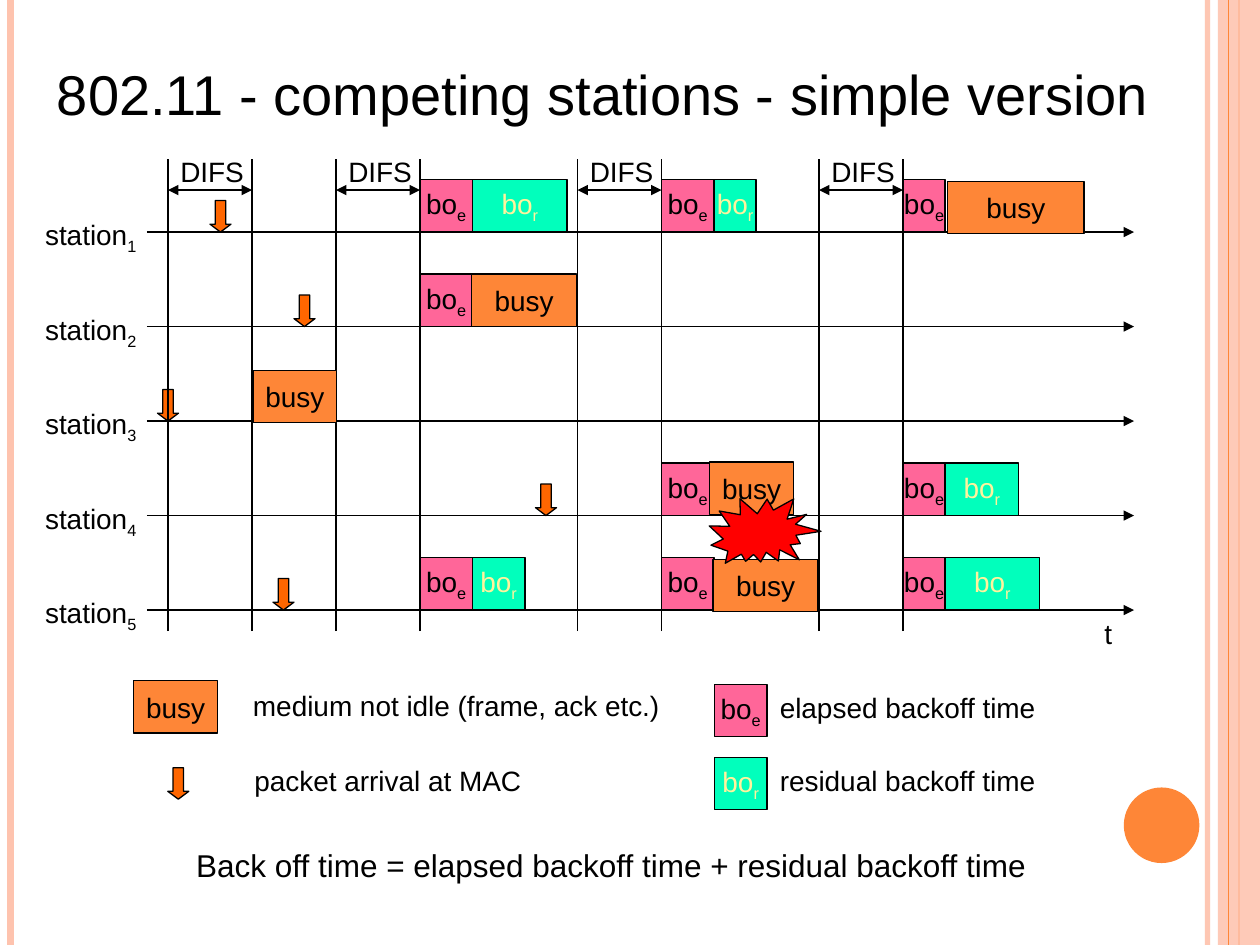
from pptx import Presentation
from pptx import util as u
from pptx.dml import color
from pptx.enum import shapes, text
from pptx.oxml import ns, xmlchemy

COLORS = {
    "black": "000000", "peach": "FEC3AE", "orange": "FE8637", "arrow": "FF6600",
    "pink": "FF6699", "mint": "01FFBC", "cream": "FFF39D", "red": "FF0000",
}
# Fill and text colour of each kind of time block
BLOCKS = {"busy": ("orange", "black"), "bo_e": ("pink", "black"), "bo_r": ("mint", "cream")}
BLOCK_HEIGHT = 30
ARROW_WIDTH, ARROW_HEIGHT = 12, 18

# Per station: packet arrival, then blocks as (kind, left, width, vertical shift)
STATIONS = [
    (30, [("bo_e", 144, 30, 0), ("bo_r", 174, 54, 0), ("bo_e", 282, 30, 0),
          ("bo_r", 312, 24, 0), ("bo_e", 420, 24, 0), ("busy", 445.5, 78, 1)]),
    (78, [("bo_e", 144, 30, 0), ("busy", 173.5, 60, 0)]),
    (0, [("busy", 48.5, 48, 1)]),
    (216, [("bo_e", 282, 30, 0), ("busy", 309.5, 48, -0.5),
           ("bo_e", 420, 24, 0), ("bo_r", 444, 42, 0)]),
    (66, [("bo_e", 144, 30, 0), ("bo_r", 174, 30, 0), ("bo_e", 282, 30, 0),
          ("busy", 311.5, 60, 1), ("bo_e", 420, 24, 0), ("bo_r", 444, 54, 0)]),
]
DIFS_STARTS = [0, 96, 234, 372]
DIFS_WIDTH = 48


def rgb(name):
    return color.RGBColor.from_string(COLORS[name])


def add_child(parent, tag, **attributes):
    child = xmlchemy.OxmlElement(tag)
    for key, value in attributes.items():
        child.set(key, value)
    parent.append(child)
    return child


def set_alpha(element, percent):
    fill_color = next(element.iter(ns.qn("a:srgbClr")))
    add_child(fill_color, "a:alpha", val=str(percent * 1000))


def add_line(page, start, end, name="black", width=0.75, head=False, tail=False):
    line = page.shapes.add_connector(
        shapes.MSO_CONNECTOR.STRAIGHT, *(u.Pt(value) for value in (*start, *end)))
    line.line.color.rgb = rgb(name)
    line.line.width = u.Pt(width)
    outline = line.line._get_or_add_ln()
    for wanted, tag in ((head, "a:headEnd"), (tail, "a:tailEnd")):
        if wanted:
            add_child(outline, tag, type="triangle")
    add_child(line._element.spPr, "a:effectLst")
    return line


def add_shape(page, kind, left, top, width, height, fill, outlined=True):
    shape = page.shapes.add_shape(kind, u.Pt(left), u.Pt(top), u.Pt(width), u.Pt(height))
    shape.shadow.inherit = False
    shape.fill.solid()
    shape.fill.fore_color.rgb = rgb(fill)
    if outlined:
        shape.line.color.rgb = rgb("black")
        shape.line.width = u.Pt(0.75)
    else:
        shape.line.fill.background()
    return shape


def write(frame, label, size=16, name="black", align=text.PP_ALIGN.LEFT):
    """Write a label; what follows an underscore becomes a subscript."""
    para = frame.paragraphs[0]
    para.alignment = align
    main, _, subscript = label.partition("_")
    for part in filter(None, (main, subscript)):
        span = para.add_run()
        span.text = part
        span.font.name = "Arial"
        span.font.size = u.Pt(size)
        span.font.color.rgb = rgb(name)
    if subscript:
        span._r.get_or_add_rPr().set("baseline", "-25000")


def add_text(page, label, left, top, width, height=26.6, size=16):
    box = page.shapes.add_textbox(u.Pt(left), u.Pt(top), u.Pt(width), u.Pt(height))
    box.text_frame.word_wrap = True
    box.text_frame.auto_size = text.MSO_AUTO_SIZE.NONE
    write(box.text_frame, label, size)
    return box


def add_block(page, kind, left, top, width):
    fill, name = BLOCKS[kind]
    block = add_shape(page, shapes.MSO_SHAPE.RECTANGLE, left, top, width, BLOCK_HEIGHT, fill)
    block.text_frame.word_wrap = False
    block.text_frame.vertical_anchor = text.MSO_ANCHOR.MIDDLE
    write(block.text_frame, kind, name=name, align=text.PP_ALIGN.CENTER)


def add_arrival(page, center, bottom):
    arrow = add_shape(page, shapes.MSO_SHAPE.DOWN_ARROW, center - ARROW_WIDTH / 2,
                      bottom - ARROW_HEIGHT, ARROW_WIDTH, ARROW_HEIGHT, "arrow")
    arrow.adjustments[0] = 0.5
    arrow.adjustments[1] = 0.375


def add_frame(page, width, height):
    """Stripes at the page edges and the round ornament."""
    def stripe(x, name, weight):
        return add_line(page, (x, 0), (x, height), name, weight)

    set_alpha(stripe(width - 30, "peach", 3)._element, 93)
    stripe(6, "peach", 4.5)
    stripe(width - 12, "orange", 1.5)
    band = add_shape(page, shapes.MSO_SHAPE.RECTANGLE, width - 24, 0, 24, height, "peach", False)
    set_alpha(band._element, 87)
    stripe(width - 18, "orange", 0.75)
    add_shape(page, shapes.MSO_SHAPE.OVAL, width - 77.8, height - 90, 43.2, 43.2, "orange", False)


def add_title(page, left, top, width, height):
    title = add_text(page, "802.11 - competing stations - simple version",
                     left, top, width, height, size=32)
    title.text_frame.vertical_anchor = text.MSO_ANCHOR.MIDDLE


def add_timeline(page, left, top, width, height):
    """Time axes of the stations, DIFS intervals and time blocks."""
    rows = [top + 42 + 54 * index for index in range(len(STATIONS))]

    # Axes, station names and packet arrivals
    for number, (axis, (arrival, _)) in enumerate(zip(rows, STATIONS), 1):
        add_line(page, (left - 12, axis), (left + width, axis), tail=True)
        add_text(page, f"station_{number}", left - 77.3, axis - 11.7, 72, 29.5)
        add_arrival(page, left + arrival, axis)
    add_text(page, "t", left + width - 24, rows[-1], 20)

    # DIFS intervals
    for start in DIFS_STARTS:
        first, last = left + start, left + start + DIFS_WIDTH
        for x in (first, last):
            add_line(page, (x, top + height), (x, top))
        add_text(page, "DIFS", first, top - 5.6, 56)
        add_line(page, (first, top + 18), (last, top + 18), head=True, tail=True)

    # Time blocks standing on the axes
    for axis, (_, blocks) in zip(rows, STATIONS):
        for kind, start, length, shift in blocks:
            add_block(page, kind, left + start, axis - BLOCK_HEIGHT + shift, length)

    # Collision of stations 4 and 5
    burst = add_shape(page, shapes.MSO_SHAPE.EXPLOSION2, left + 309.4, top + 190.9,
                      62.6, 45.4, "red")
    burst.rotation = 14.6


def add_legend(page, left, top):
    second_row, second_column = top + 43.7, left + 332
    add_block(page, "busy", left, top, 48)
    add_block(page, "bo_e", second_column, top + 2, 30)
    add_block(page, "bo_r", second_column, second_row, 30)
    add_arrival(page, left + 25.6, second_row + 24)
    add_text(page, "medium not idle (frame, ack etc.)", left + 61.2, top + 0.8, 258)
    add_text(page, "packet arrival at MAC", left + 62, second_row, 174)
    add_text(page, "elapsed backoff time", second_column + 30.2, top + 2, 168)
    add_text(page, "residual backoff time", second_column + 30.2, second_row, 168)


def main():
    deck = Presentation()
    deck.slide_width, deck.slide_height = u.Pt(720), u.Pt(540)
    page = deck.slides.add_slide(deck.slide_layouts[6])
    add_frame(page, 720, 540)
    add_title(page, 25.5, 29.5, 674.6, 47.5)
    add_timeline(page, 96, 90.6, 552, 270)
    add_legend(page, 76.3, 389)
    add_text(page, "Back off time = elapsed backoff time + residual backoff time",
             105, 479.7, 538.6, 28.8, size=18)
    deck.save("out.pptx")


if __name__ == "__main__":
    main()
